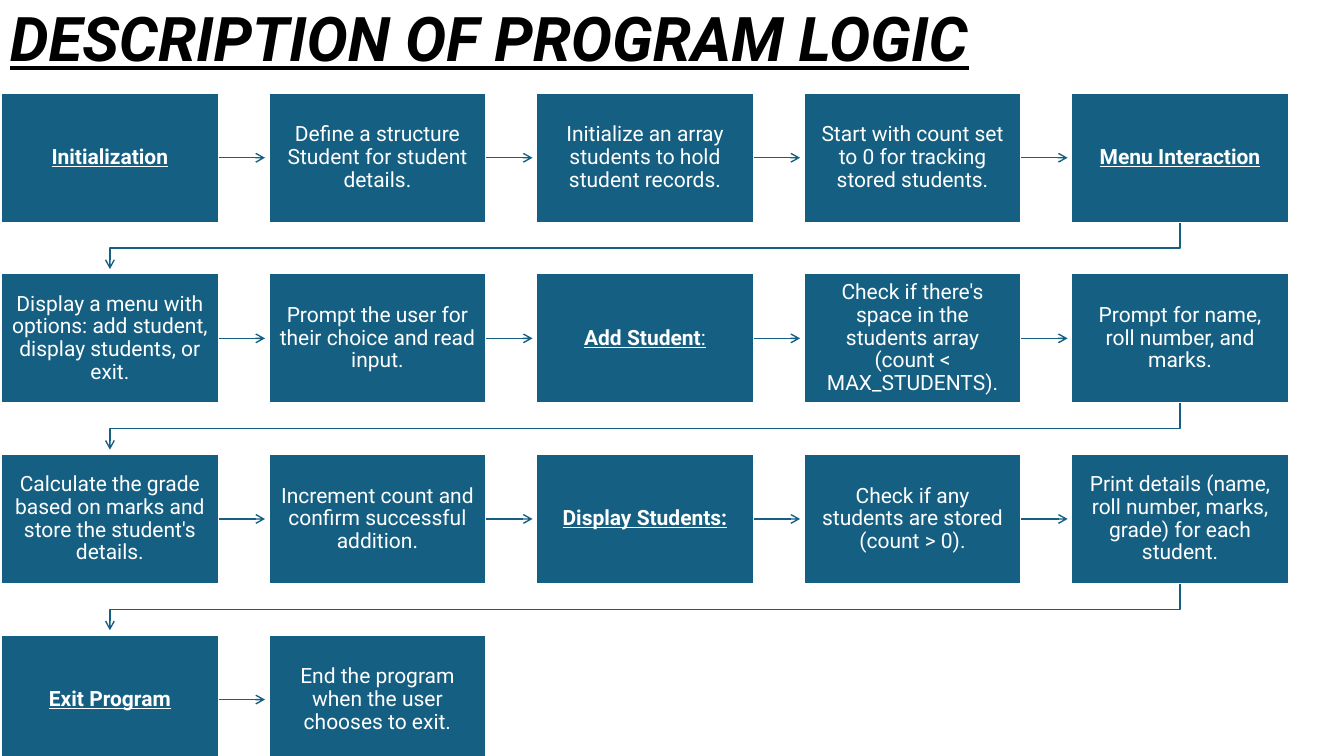
"""Build the slide that describes the program logic as a four-row flow of boxes."""
from lxml.etree import SubElement
from pptx import Presentation
from pptx.dml.color import RGBColor
from pptx.enum.shapes import MSO_CONNECTOR, MSO_SHAPE
from pptx.enum.text import MSO_ANCHOR, PP_ALIGN
from pptx.oxml.ns import qn
from pptx.util import Pt

BLUE = RGBColor(0x15, 0x60, 0x82)
WHITE = RGBColor(0xFF, 0xFF, 0xFF)
BLACK = RGBColor(0x00, 0x00, 0x00)
FONT = "Roboto"

COLUMNS = 5
LEFT, TOP = 0.8, 66.2
WIDTH, HEIGHT = 155.5, 93
STEP_X, STEP_Y = 191.1, 129
ARROW_LENGTH, TURN_DEPTH = 33, 18

HEADINGS = ["Initialization", "Menu Interaction", "Add Student:", "Display Students:", "Exit Program"]
STEPS = [
    "Initialization",
    "Define a structure Student for student details.",
    "Initialize an array students to hold student records.",
    "Start with count set to 0 for tracking stored students.",
    "Menu Interaction",
    "Display a menu with options: add student, display students, or exit.",
    "Prompt the user for their choice and read input.",
    "Add Student:",
    "Check if there's space in the students array (count < MAX_STUDENTS).",
    "Prompt for name, roll number, and marks.",
    "Calculate the grade based on marks and store the student's details.",
    "Increment count and confirm successful addition.",
    "Display Students:",
    "Check if any students are stored (count > 0).",
    "Print details (name, roll number, marks, grade) for each student.",
    "Exit Program",
    "End the program when the user chooses to exit.",
]


def style_arrow(arrow):
    """Give a line the flow colour, an open arrowhead and no shadow."""
    arrow.line.color.rgb = BLUE
    arrow.line.width = Pt(1)
    SubElement(arrow.line._get_or_add_ln(), qn("a:tailEnd"), type="arrow")
    properties = arrow._element.spPr
    if properties.find(qn("a:effectLst")) is None:
        SubElement(properties, qn("a:effectLst"))


deck = Presentation()
deck.slide_width, deck.slide_height = Pt(960), Pt(540)
page = deck.slides.add_slide(deck.slide_layouts[6])

title = page.shapes.add_textbox(Pt(0), Pt(-22.3), Pt(828), Pt(104.4))
title.text_frame.word_wrap = True
title.text_frame.vertical_anchor = MSO_ANCHOR.MIDDLE
para = title.text_frame.paragraphs[0]
para.text = "DESCRIPTION OF PROGRAM LOGIC"
para.line_spacing = 0.9
para.font.name, para.font.size = FONT, Pt(44)
para.font.bold = para.font.italic = para.font.underline = True
para.font.color.rgb = BLACK

for index, step in enumerate(STEPS):
    row, column = divmod(index, COLUMNS)
    x, y = LEFT + column * STEP_X, TOP + row * STEP_Y
    center, right, bottom = x + WIDTH / 2, x + WIDTH, y + HEIGHT

    box = page.shapes.add_shape(MSO_SHAPE.RECTANGLE, Pt(x), Pt(y), Pt(WIDTH), Pt(HEIGHT))
    box.shadow.inherit = False
    box.fill.solid()
    box.fill.fore_color.rgb = BLUE
    box.line.color.rgb = WHITE
    box.line.width = Pt(1.5)

    frame = box.text_frame
    frame.word_wrap = True
    frame.vertical_anchor = MSO_ANCHOR.MIDDLE
    frame.margin_left = frame.margin_right = frame.margin_top = frame.margin_bottom = Pt(7.6)
    para = frame.paragraphs[0]
    para.alignment = PP_ALIGN.CENTER
    para.line_spacing = 0.9
    para.font.name, para.font.size = FONT, Pt(15)
    para.font.color.rgb = WHITE
    para.font.underline = step in HEADINGS
    if step == "Add Student:":
        for words, bold in (("Add Student", True), (":", False)):
            span = para.add_run()
            span.text = words
            span.font.bold = bold
    else:
        para.add_run().text = step
        para.font.bold = step in HEADINGS

    if index == len(STEPS) - 1:
        continue
    if column < COLUMNS - 1:
        middle = Pt(y + HEIGHT / 2)
        arrow = page.shapes.add_connector(
            MSO_CONNECTOR.STRAIGHT, Pt(right), middle, Pt(right + ARROW_LENGTH), middle)
        arrow.begin_connect(box, 3)
    else:
        first_center = LEFT + WIDTH / 2
        corners = [(center, bottom + TURN_DEPTH), (first_center, bottom + TURN_DEPTH),
                   (first_center, bottom + ARROW_LENGTH)]
        builder = page.shapes.build_freeform(Pt(center), Pt(bottom))
        builder.add_line_segments([(Pt(a), Pt(b)) for a, b in corners], close=False)
        arrow = builder.convert_to_shape()
        arrow.fill.background()
    style_arrow(arrow)

deck.save("out.pptx")
